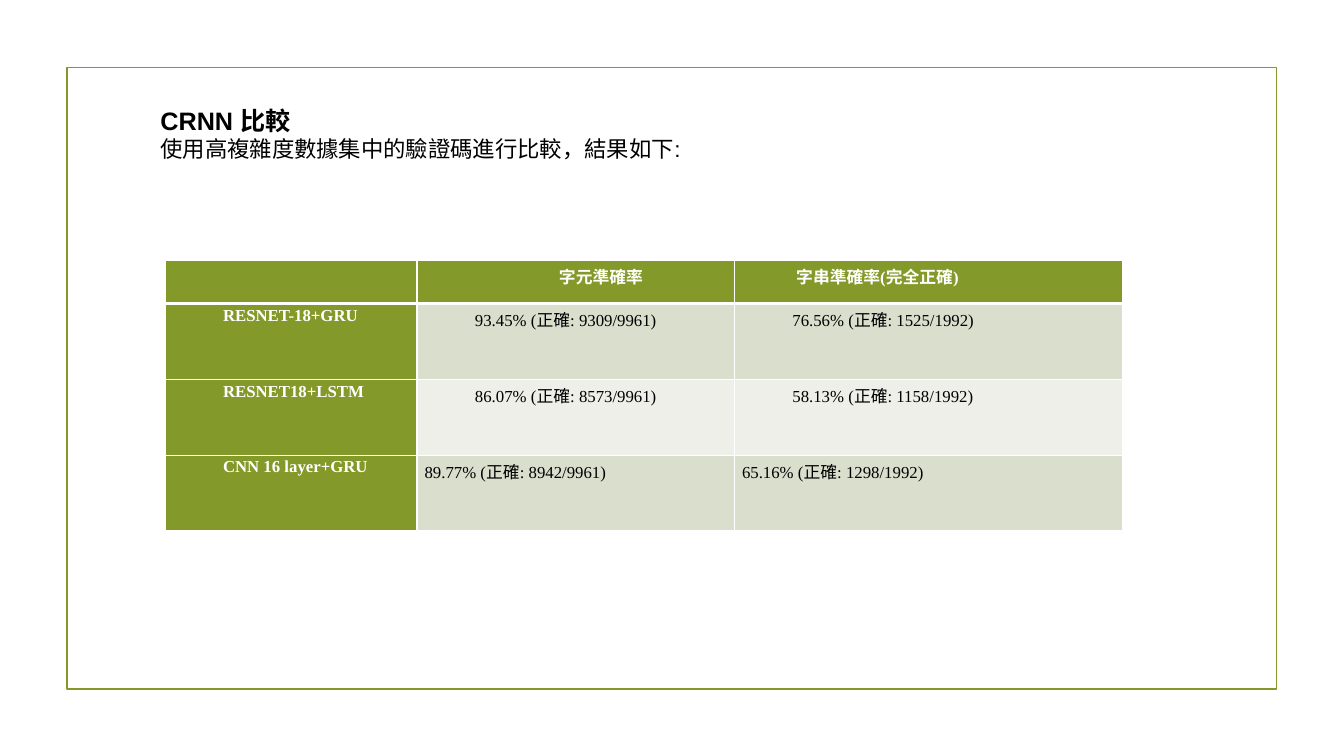
from lxml.etree import fromstring
from pptx import Presentation
from pptx.dml.color import RGBColor
from pptx.enum.shapes import MSO_SHAPE
from pptx.enum.text import MSO_ANCHOR, MSO_AUTO_SIZE, PP_ALIGN
from pptx.oxml.ns import nsdecls
from pptx.util import Cm, Pt

HEADER = ["", "字元準確率", " 字串準確率(完全正確)"]
RESULTS = [
    ["RESNET-18+GRU", "93.45% (正確: 9309/9961)", "76.56% (正確: 1525/1992)"],
    ["RESNET18+LSTM", "86.07% (正確: 8573/9961)", "58.13% (正確: 1158/1992)"],
    ["CNN 16 layer+GRU", "89.77% (正確: 8942/9961)", "65.16% (正確: 1298/1992)"],
]
COL_WIDTHS = [6.35, 8, 9.78]
HEADER_HEIGHT, ROW_HEIGHT = 1.09, 1.91


def rgb(color):
    return RGBColor.from_string(color)


class SlideBuilder:
    GREEN, WHITE, BLACK = "83992A", "FFFFFF", "000000"
    BANDS = ["D9DECD", "EDEFE8"]
    HEADING_FONT, TABLE_FONT = "Arial", "Times New Roman"

    def __init__(self, slide):
        self.s = slide

    def style_runs(self, p, font, size, color, bold):
        for r in p.runs:
            r.font.name = font
            r.font.size = Pt(size)
            r.font.bold = bold
            r.font.color.rgb = rgb(color)

    def frame(self, left, top, width, height):
        sp = self.s.shapes.add_shape(
            MSO_SHAPE.RECTANGLE, Cm(left), Cm(top), Cm(width), Cm(height))
        sp.shadow.inherit = False
        sp.fill.background()
        sp.line.color.rgb = rgb(self.GREEN)
        sp.line.width = Pt(1.25)

    def title(self, heading, subtitle, left, top, width, height):
        sp = self.s.shapes.title
        sp.left, sp.top, sp.width, sp.height = map(Cm, (left, top, width, height))
        tf = sp.text_frame
        tf.text = f"{heading}\n{subtitle}"
        tf.word_wrap = False
        tf.auto_size = MSO_AUTO_SIZE.SHAPE_TO_FIT_TEXT
        tf.vertical_anchor = MSO_ANCHOR.MIDDLE
        for p, size, bold in zip(tf.paragraphs, (18, 16), (True, False)):
            p.alignment = PP_ALIGN.LEFT
            self.style_runs(p, self.HEADING_FONT, size, self.BLACK, bold)

    def borders(self, cell, row):
        """Draw white cell borders, thick between the header and the results."""
        widths = {"L": 1, "R": 1, "T": 3 if row == 1 else 1, "B": 3 if row == 0 else 1}
        tcPr = cell._tc.get_or_add_tcPr()
        for i, (side, width) in enumerate(widths.items()):
            tcPr.insert(i, fromstring(
                f'<a:ln{side} {nsdecls("a")} w="{Pt(width)}"><a:solidFill>'
                f'<a:srgbClr val="{self.WHITE}"/></a:solidFill></a:ln{side}>'))

    def cell(self, cell, text, row, col, last_row, last_col):
        is_label = row == 0 or col == 0
        cell.margin_left = cell.margin_right = Cm(0.19)
        cell.margin_top = cell.margin_bottom = 0
        cell.fill.solid()
        cell.fill.fore_color.rgb = rgb(self.GREEN if is_label else self.BANDS[(row - 1) % 2])
        self.borders(cell, row)
        cell.text_frame.text = text
        p = cell.text_frame.paragraphs[0]
        p.line_spacing = 1.15
        p.alignment = PP_ALIGN.CENTER if (row, col) == (0, 1) else PP_ALIGN.LEFT
        if row == last_row or col == last_col:
            p.space_after = Pt(8)
        if is_label or row != last_row:
            p._p.get_or_add_pPr().set("marL", str(Cm(1.27)))
        self.style_runs(p, self.TABLE_FONT, 12, self.WHITE if is_label else self.BLACK, is_label)

    def table(self, rows, left, top):
        heights = [HEADER_HEIGHT] + [ROW_HEIGHT] * (len(rows) - 1)
        table = self.s.shapes.add_table(
            len(rows), len(COL_WIDTHS), Cm(left), Cm(top),
            Cm(sum(COL_WIDTHS)), Cm(sum(heights))).table
        for column, width in zip(table.columns, COL_WIDTHS):
            column.width = Cm(width)
        for i, (texts, height) in enumerate(zip(rows, heights)):
            table.rows[i].height = Cm(height)
            for j, text in enumerate(texts):
                self.cell(table.cell(i, j), text, i, j, len(rows) - 1, len(texts) - 1)


def main():
    prs = Presentation()
    prs.slide_width, prs.slide_height = Cm(33.87), Cm(19.05)
    builder = SlideBuilder(prs.slides.add_slide(prs.slide_layouts[5]))
    builder.frame(1.69, 1.7, 30.48, 15.67)
    builder.title("CRNN 比較", "使用高複雜度數據集中的驗證碼進行比較，結果如下:",
                  3.79, 2.52, 13.77, 1.7)
    builder.table([HEADER] + RESULTS, 4.16, 6.56)
    prs.save("out.pptx")


if __name__ == "__main__":
    main()
